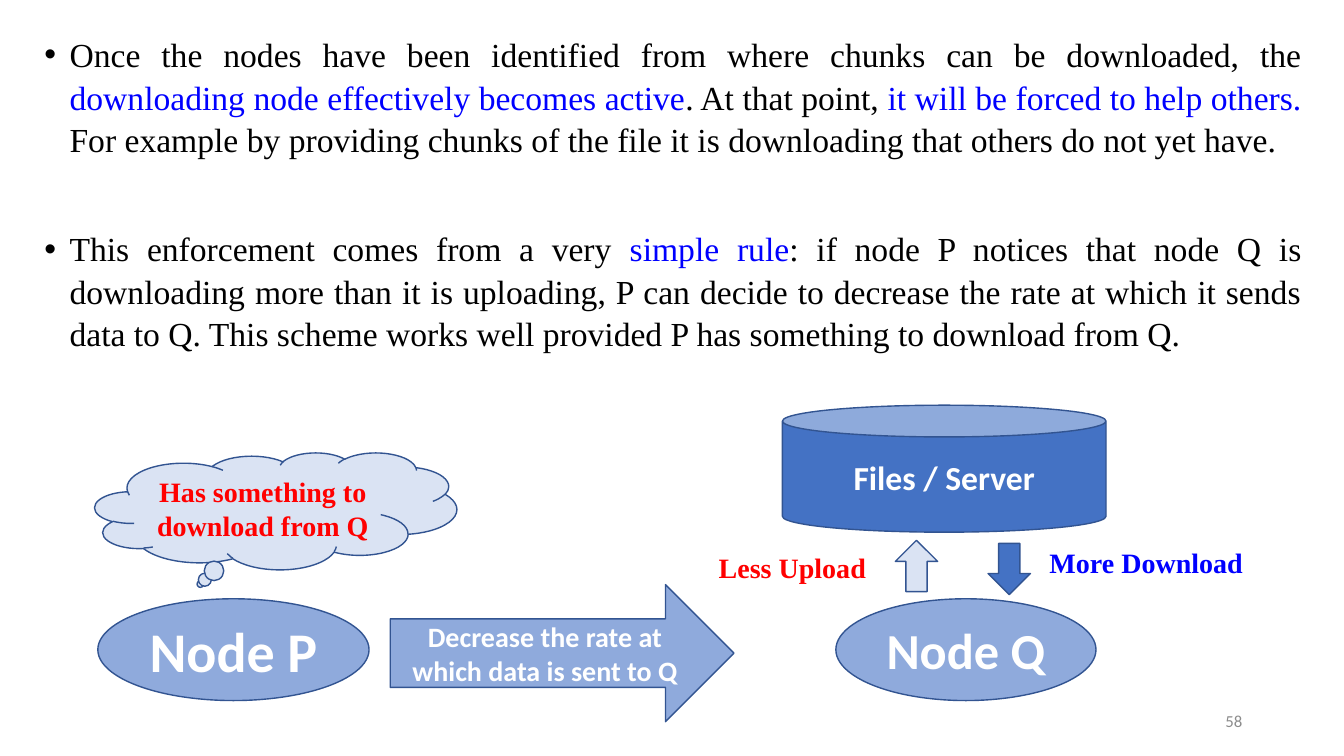
"""Build a slide on how nodes are forced to share file chunks."""
import pptx
import pptx.dml.color
import pptx.enum.shapes
import pptx.enum.text
import pptx.util
from pptx.util import Inches

SERIF = "Times New Roman"
SANS = "Calibri"
BLUE, RED, WHITE, BLACK, GRAY = "0000FF", "FF0000", "FFFFFF", "000000", "8C8C8C"
OUTLINE, DARK, MEDIUM, LIGHT = "325491", "4472C4", "8FAADC", "DAE3F3"
ALIGN = pptx.enum.text.PP_ALIGN
SHAPE = pptx.enum.shapes.MSO_SHAPE

RULES = [
    [
        ("Once the nodes have been identified from where chunks can be downloaded, the ", BLACK),
        ("downloading node effectively becomes active", BLUE),
        (". At that point, ", BLACK),
        ("it will be forced to help others. ", BLUE),
        ("For example by providing chunks of the file it is downloading "
         "that others do not yet have.", BLACK),
    ],
    [
        ("This enforcement comes from a very ", BLACK),
        ("simple rule", BLUE),
        (": if node P notices that node Q is downloading more than it is uploading, "
         "P can decide to decrease the rate at which it sends data to Q. "
         "This scheme works well provided P has something to download from Q.", BLACK),
    ],
]


def color(value):
    """Return the colour for a hex string."""
    return pptx.dml.color.RGBColor.from_string(value)


def format_paragraph(paragraph, font, size, text_color, bold=False, align=ALIGN.CENTER):
    """Set the font and alignment of a paragraph."""
    paragraph.alignment = align
    paragraph.font.name = font
    paragraph.font.size = pptx.util.Pt(size)
    paragraph.font.bold = bold
    paragraph.font.color.rgb = color(text_color)


def fill_body(body, rules):
    """Place the body placeholder and write the bulleted rules in it."""
    body.left, body.top = Inches(0.34), Inches(0.27)
    body.width, body.height = Inches(12.67), Inches(7.04)
    frame = body.text_frame
    frame.auto_size = pptx.enum.text.MSO_AUTO_SIZE.NONE
    for index, runs in enumerate(rules):
        paragraph = frame.add_paragraph() if index else frame.paragraphs[0]
        format_paragraph(paragraph, SERIF, 24, BLACK, align=ALIGN.JUSTIFY)
        paragraph.line_spacing = 1.05
        paragraph.space_before = pptx.util.Pt(48 if index else 0)
        properties = paragraph._p.get_or_add_pPr()
        properties.set("marL", str(Inches(0.25)))
        properties.set("indent", str(-Inches(0.25)))
        for text, text_color in runs:
            run = paragraph.add_run()
            run.text = text
            run.font.color.rgb = color(text_color)


def add_figure(slide, kind, left, top, width, height, fill, text="",
               font=SANS, size=20, text_color=WHITE):
    """Add an outlined preset shape with optional centred bold text."""
    shape = slide.shapes.add_shape(
        kind, Inches(left), Inches(top), Inches(width), Inches(height))
    shape.shadow.inherit = False
    shape.fill.solid()
    shape.fill.fore_color.rgb = color(fill)
    shape.line.color.rgb = color(OUTLINE)
    shape.line.width = pptx.util.Pt(1)
    if text:
        shape.text_frame.text = text
        format_paragraph(shape.text_frame.paragraphs[0], font, size, text_color, True)


def add_label(slide, left, top, width, height, text, font, size, text_color,
              bold=True, align=ALIGN.LEFT):
    """Add a one-line text box."""
    box = slide.shapes.add_textbox(
        Inches(left), Inches(top), Inches(width), Inches(height))
    frame = box.text_frame
    frame.word_wrap = True
    frame.vertical_anchor = pptx.enum.text.MSO_ANCHOR.MIDDLE
    frame.text = text
    format_paragraph(frame.paragraphs[0], font, size, text_color, bold, align)


def main():
    """Build and save the slide."""
    presentation = pptx.Presentation()
    presentation.slide_width = Inches(13.33)
    presentation.slide_height = Inches(7.5)
    slide = presentation.slides.add_slide(presentation.slide_layouts[1])
    title = slide.shapes.title._element
    title.getparent().remove(title)
    fill_body(slide.placeholders[1], RULES)

    node = SHAPE.FLOWCHART_CONNECTOR
    add_figure(slide, node, 0.97, 5.94, 2.69, 1.01, MEDIUM, "Node P", size=40)
    add_figure(slide, node, 8.29, 5.94, 2.58, 1.01, MEDIUM, "Node Q", size=36)
    add_figure(slide, SHAPE.CAN, 7.76, 4.02, 3.21, 1.26, DARK, "Files / Server", size=24)
    add_figure(slide, SHAPE.DOWN_ARROW, 9.8, 5.39, 0.42, 0.51, DARK)
    add_label(slide, 10.31, 5.36, 2.24, 0.44, "More Download", SERIF, 20, BLUE)
    add_figure(slide, SHAPE.UP_ARROW, 8.88, 5.36, 0.42, 0.51, LIGHT)
    add_label(slide, 7.03, 5.41, 1.73, 0.44, "Less Upload", SERIF, 20, RED)
    add_figure(slide, SHAPE.RIGHT_ARROW, 3.87, 5.8, 3.41, 1.36, MEDIUM,
               "Decrease the rate at which data is sent to Q")
    add_figure(slide, SHAPE.CLOUD_CALLOUT, 0.94, 4.49, 3.59, 1.16, LIGHT,
               "Has something to download from Q", SERIF, 20, RED)
    add_label(slide, 9.42, 6.95, 3, 0.4, "58", SANS, 12, GRAY, False, ALIGN.RIGHT)
    presentation.save("out.pptx")


if __name__ == "__main__":
    main()
